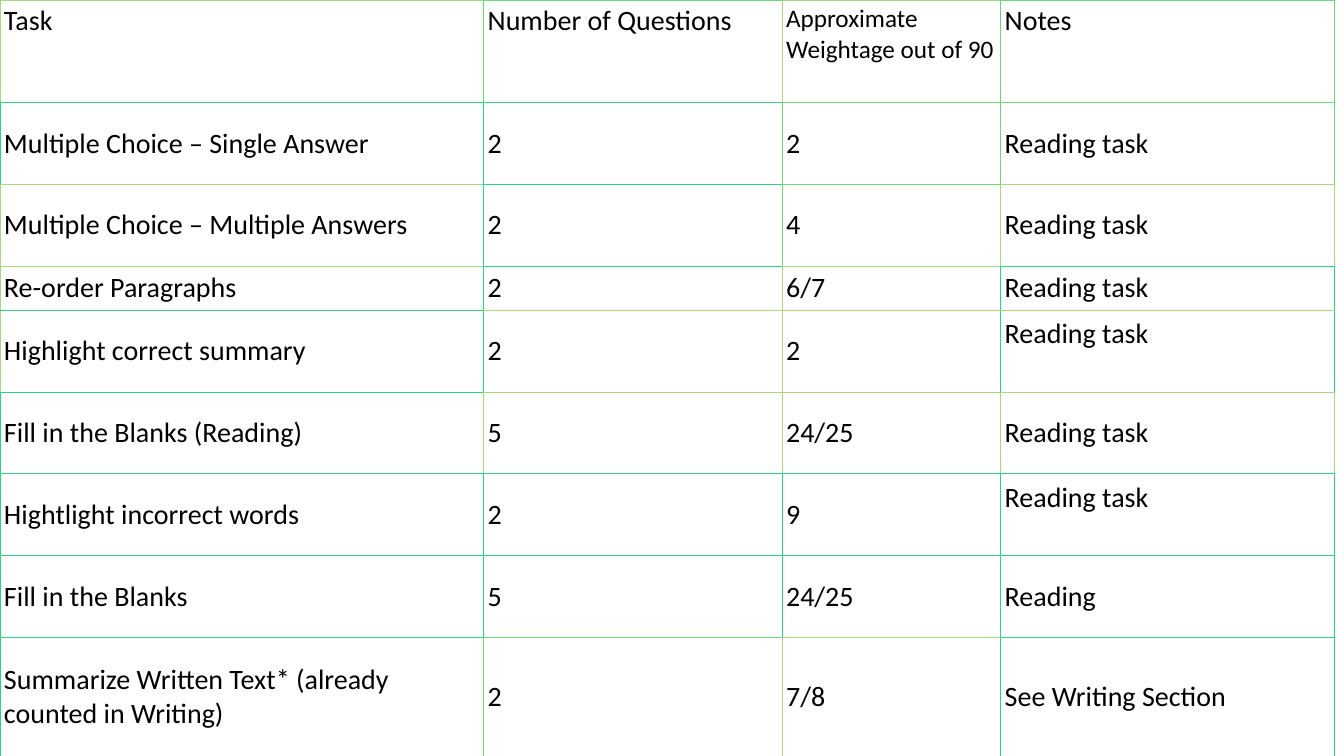
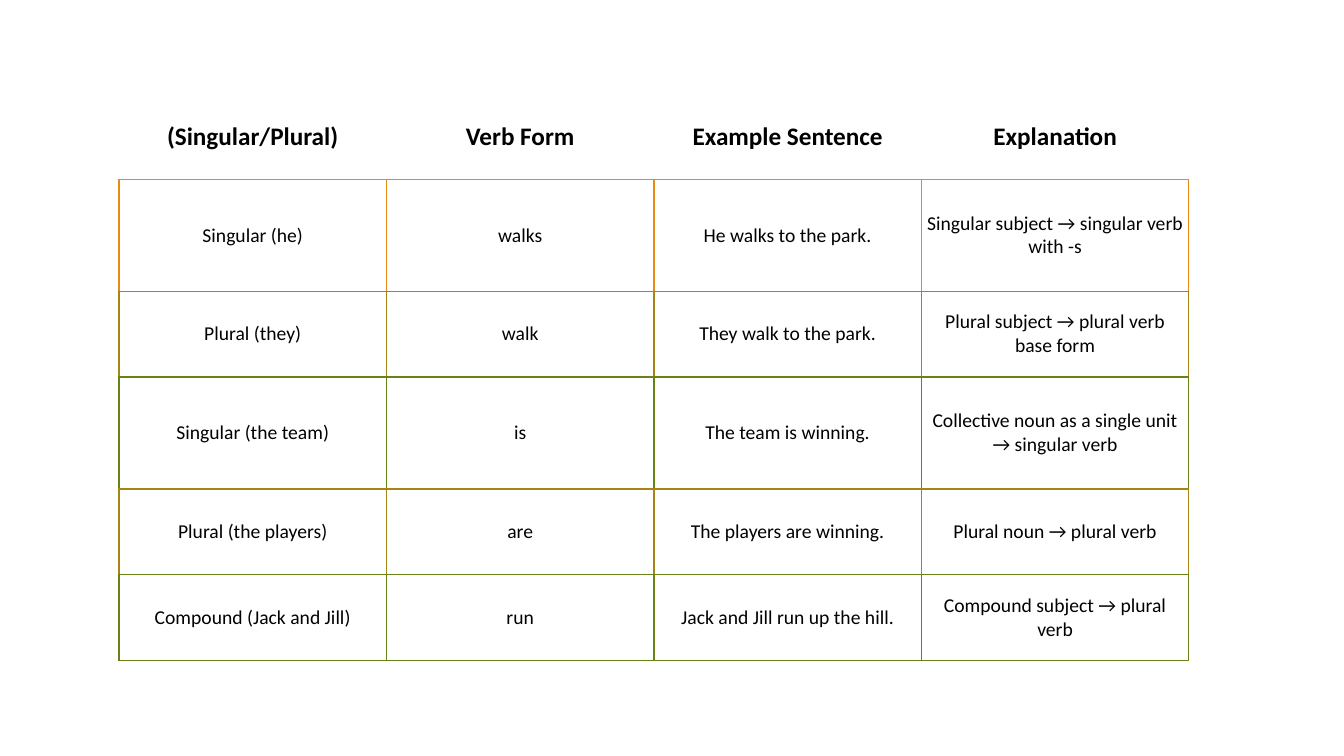
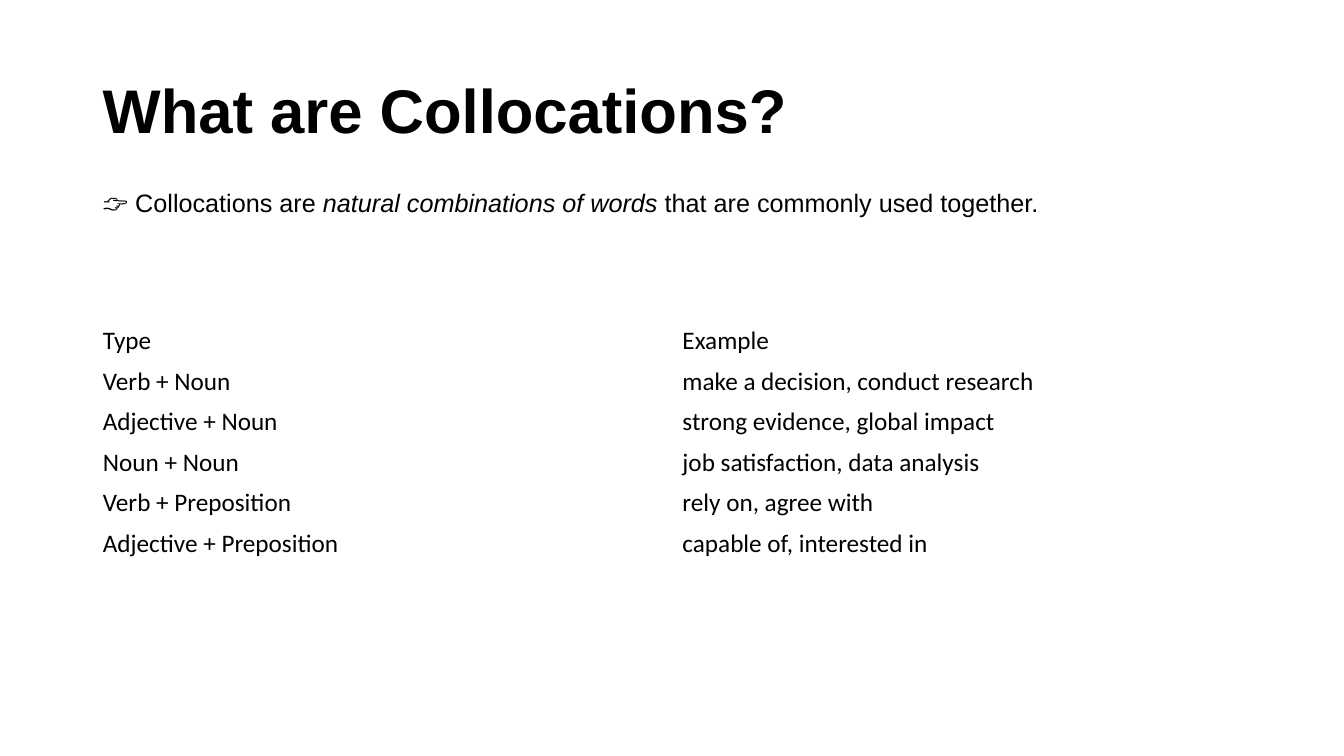
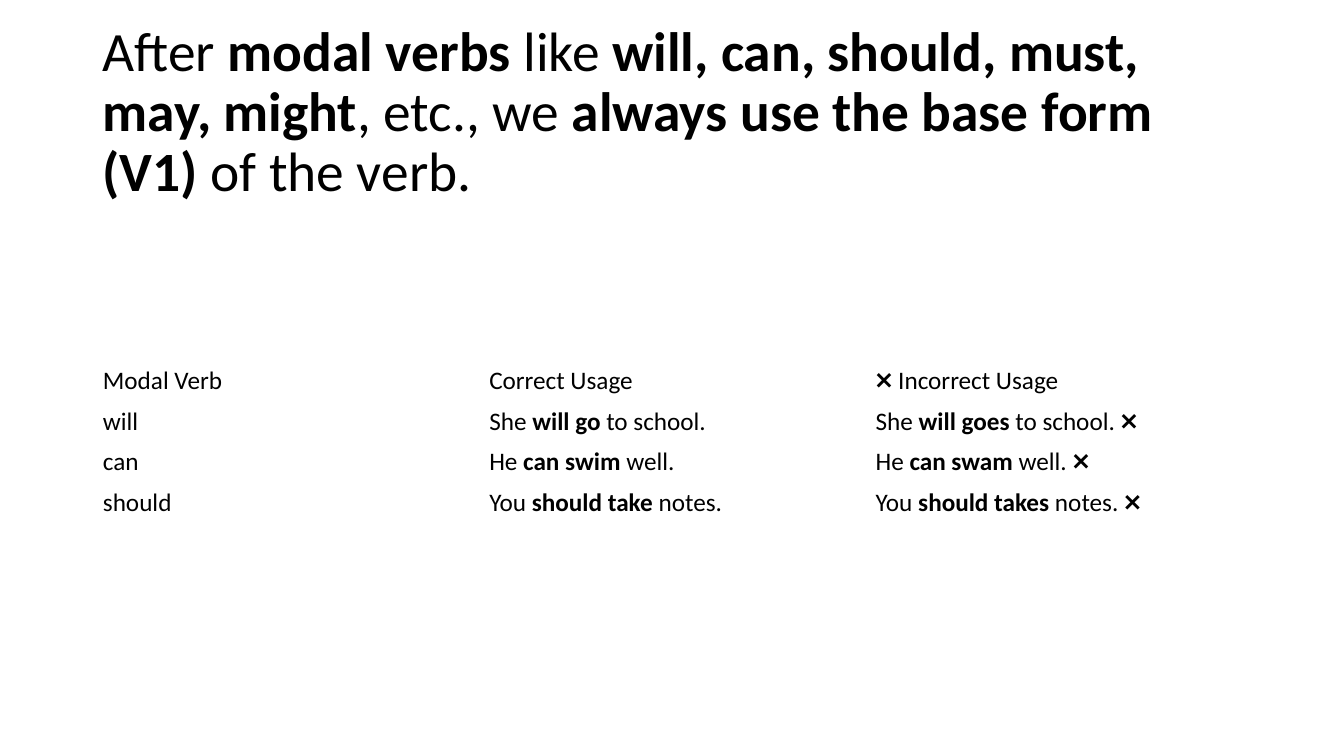
from lxml import etree
from pptx import Presentation
from pptx.dml.color import RGBColor
from pptx.enum.text import MSO_ANCHOR, PP_ALIGN
from pptx.oxml.ns import qn
from pptx.util import Cm, Pt

TOP, MIDDLE = MSO_ANCHOR.TOP, MSO_ANCHOR.MIDDLE
LEFT, CENTER = PP_ALIGN.LEFT, PP_ALIGN.CENTER

COLORS = {
    "text": "000000",
    "teal": "28D581",
    "green": "68D881",
    "lime": "A8D781",
    "orange": "E88816",
    "amber": "A88416",
    "olive": "688216",
}
BODY_FONT, HEAD_FONT = "Calibri", "Arial"
PLAIN_STYLE = "{2D5ABB26-0587-4C30-8999-92F81FD0307C}"  # no style, no grid
MARGIN_X, CONTENT_W = 2.34, 29.21
TITLE_BOX = (MARGIN_X, 1.02, CONTENT_W, 3.68)

# Border colour of each task row: T teal, G green, L lime
CODES = {"T": "teal", "G": "green", "L": "lime"}
TASK_SIDES = ["LGLG", "TTGG", "LTGL", "LTLT", "LTLT", "TLLL", "TTTT", "TTTT", "TGLT"]
TASK_TOPS = TASK_SIDES[:4] + [TASK_SIDES[5]] + TASK_SIDES[5:]

TASKS = [
    ("Task", "Number of Questions", "Approximate Weightage out of 90", "Notes"),
    ("Multiple Choice – Single Answer", "2", "2", "Reading task"),
    ("Multiple Choice – Multiple Answers", "2", "4", "Reading task"),
    ("Re-order Paragraphs", "2", "6/7", "Reading task"),
    ("Highlight correct summary", "2", "2", "Reading task"),
    ("Fill in the Blanks (Reading)", "5", "24/25", "Reading task"),
    ("Hightlight incorrect words", "2", "9", "Reading task"),
    ("Fill in the Blanks", "5", "24/25", "Reading"),
    ("Summarize Written Text* (already counted in Writing)", "2", "7/8",
     "See Writing Section"),
]
AGREEMENT = [
    ("(Singular/Plural)", "Verb Form", "Example Sentence", "Explanation"),
    ("Singular (he)", "walks", "He walks to the park.",
     "Singular subject → singular verb with -s"),
    ("Plural (they)", "walk", "They walk to the park.",
     "Plural subject → plural verb base form"),
    ("Singular (the team)", "is", "The team is winning.",
     "Collective noun as a single unit → singular verb"),
    ("Plural (the players)", "are", "The players are winning.",
     "Plural noun → plural verb"),
    ("Compound (Jack and Jill)", "run", "Jack and Jill run up the hill.",
     "Compound subject → plural verb"),
]
COLLOCATIONS = [
    ("Type", "Example"),
    ("Verb + Noun", "make a decision, conduct research"),
    ("Adjective + Noun", "strong evidence, global impact"),
    ("Noun + Noun", "job satisfaction, data analysis"),
    ("Verb + Preposition", "rely on, agree with"),
    ("Adjective + Preposition", "capable of, interested in"),
]
# Text between bars is emphasised
MODALS = [
    ("Modal Verb", "Correct Usage", "❌ Incorrect Usage"),
    ("will", "She |will go| to school.", "She |will goes| to school. ❌"),
    ("can", "He |can swim| well.", "He |can swam| well. ❌"),
    ("should", "You |should take| notes.", "You |should takes| notes. ❌"),
]


def write(tf, text, size, font=BODY_FONT, bold=None, italic_marks=False, align=LEFT):
    """Fill the first paragraph; parts between bars become bold or italic."""
    p = tf.paragraphs[0]
    p.alignment = align
    p.font.size, p.font.name, p.font.bold = Pt(size), font, bold
    p.font.color.rgb = RGBColor.from_string(COLORS["text"])
    for i, part in enumerate(text.split("|")):
        r = p.add_run()
        r.text = part
        if i % 2:
            if italic_marks:
                r.font.italic = True
            else:
                r.font.bold = True
    return p


def add_text(s, box, text, size, **style):
    sp = s.shapes.add_textbox(*[Cm(v) for v in box])
    tf = sp.text_frame
    tf.word_wrap, tf.vertical_anchor = True, MIDDLE
    return write(tf, text, size, **style)


def add_title(s, text, size, **style):
    p = add_text(s, TITLE_BOX, text, size, **style)
    p.line_spacing = 0.9


def add_plain_table(s, left, top, col_widths, row_heights):
    frame = s.shapes.add_table(
        len(row_heights), len(col_widths), Cm(left), Cm(top),
        Cm(sum(col_widths)), Cm(sum(row_heights)))
    table = frame.table
    table.first_row = table.horz_banding = False
    frame.element.find(".//" + qn("a:tableStyleId")).text = PLAIN_STYLE
    for col, width in zip(table.columns, col_widths):
        col.width = Cm(width)
    for row, height in zip(table.rows, row_heights):
        row.height = Cm(height)
    for cell in table.iter_cells():
        cell.fill.background()
        cell.vertical_anchor = MIDDLE
    return table


def set_margins(cell, x, y):
    cell.margin_left = cell.margin_right = Cm(x)
    cell.margin_top = cell.margin_bottom = Cm(y)


def set_borders(table, sides, tops, width):
    """Colour each cell's left and top edge; right and bottom follow the neighbour."""
    last_row, last_col = len(table.rows) - 1, len(table.columns) - 1
    for i in range(last_row + 1):
        for j in range(last_col + 1):
            edges = {
                "L": sides[i][j],
                "R": sides[i][min(j + 1, last_col)],
                "T": tops[i][j],
                "B": tops[min(i + 1, last_row)][j],
            }
            tc_pr = table.cell(i, j)._tc.get_or_add_tcPr()
            for pos, (edge, color) in enumerate(edges.items()):
                ln = etree.Element(qn("a:ln" + edge), w=str(Pt(width)))
                if color:
                    fill = etree.SubElement(ln, qn("a:solidFill"))
                    etree.SubElement(fill, qn("a:srgbClr"), val=COLORS[color])
                else:
                    etree.SubElement(ln, qn("a:noFill"))
                tc_pr.insert(pos, ln)


def task_slide(s, left, top):
    heights = [2.59, 2.06, 2.06, 1.11, 2.06, 2.06, 2.06, 2.06, 3]
    table = add_plain_table(s, left, top, [12.19, 7.52, 5.51, 8.41], heights)
    for i, row in enumerate(TASKS):
        for j, text in enumerate(row):
            cell = table.cell(i, j)
            set_margins(cell, 0.1, 0.08 if i else 0.1)
            if i == 0:
                cell.vertical_anchor = TOP
            write(cell.text_frame, text, 18 if (i, j) == (0, 2) else 20)
    # Two notes sit above the middle of their row
    for i in (4, 6):
        table.cell(i, 3).margin_bottom = Cm(0.94)
    sides, tops = ([[CODES[c] for c in row] for row in grid]
                   for grid in (TASK_SIDES, TASK_TOPS))
    set_borders(table, sides, tops, 0.6)


def agreement_slide(s, left, top):
    heights = [1.6, 2.82, 2.16, 2.82, 2.16, 2.16]
    table = add_plain_table(s, left, top, [6.74] * 4, heights)
    for i, row in enumerate(AGREEMENT):
        for j, text in enumerate(row):
            cell = table.cell(i, j)
            set_margins(cell, 0.13, 0.1 if i else 0.13)
            if i == 0:
                cell.vertical_anchor = TOP
            write(cell.text_frame, text, 14 if i else 18, bold=i == 0, align=CENTER)
    row_colors = [None, "orange", "amber", "olive", "amber", "olive"]
    edges = [[color] * 4 for color in row_colors]
    set_borders(table, edges, edges, 1)


def add_example_table(s, top, rows):
    """Borderless table over the content width, with equal columns."""
    n = len(rows[0])
    table = add_plain_table(s, MARGIN_X, top, [CONTENT_W / n] * n, [1.02] * len(rows))
    for i, row in enumerate(rows):
        for j, text in enumerate(row):
            write(table.cell(i, j).text_frame, text, 18)


def collocation_slide(s):
    add_title(s, "What are Collocations?", 44, font=HEAD_FONT, bold=True)
    add_example_table(s, 8.08, COLLOCATIONS)
    add_text(s, (MARGIN_X, 3.81, 24.56, 2.57),
             "👉 Collocations are |natural combinations of words| "
             "that are commonly used together.",
             18, font=HEAD_FONT, italic_marks=True)


def modal_slide(s):
    add_title(s, "After |modal verbs| like |will, can, should, must, may, might|, "
                 "etc., we |always use the base form (V1)| of the verb.", 39.6)
    add_example_table(s, 9.09, MODALS)


def main():
    prs = Presentation()
    prs.slide_width, prs.slide_height = Cm(33.87), Cm(19.05)
    blank = prs.slide_layouts[6]
    task_slide(prs.slides.add_slide(blank), 0, 0)
    agreement_slide(prs.slides.add_slide(blank), 3, 2.92)
    collocation_slide(prs.slides.add_slide(blank))
    modal_slide(prs.slides.add_slide(blank))
    prs.save("out.pptx")


if __name__ == "__main__":
    main()
